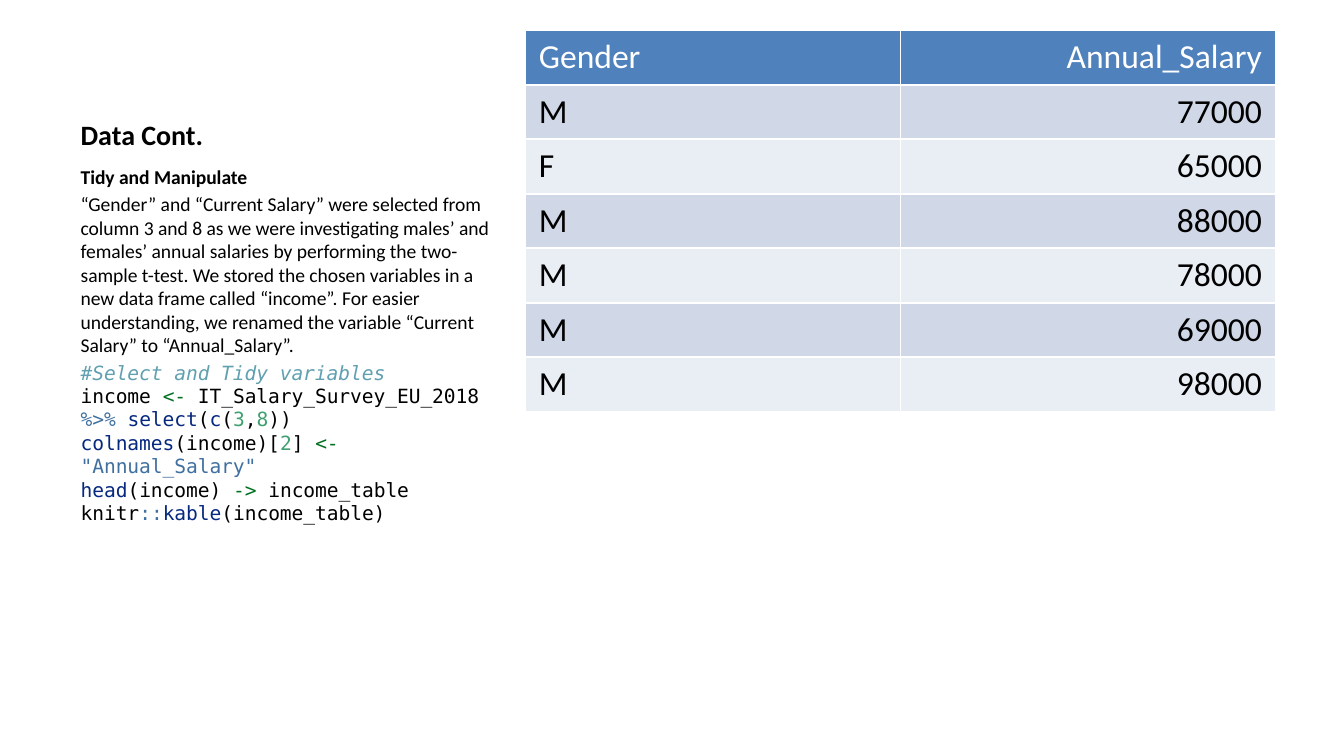
from pptx import Presentation
from pptx.dml.color import RGBColor
from pptx.enum.text import MSO_ANCHOR, MSO_AUTO_SIZE, PP_ALIGN
from pptx.util import Inches, Pt

BLACK = RGBColor(0x00, 0x00, 0x00)
WHITE = RGBColor(0xFF, 0xFF, 0xFF)
HEADER_BLUE = RGBColor(0x4F, 0x81, 0xBD)
BANDS = RGBColor(0xD0, 0xD8, 0xE8), RGBColor(0xE9, 0xED, 0xF4)
COMMENT = RGBColor(0x60, 0xA0, 0xB0)
ARROW = RGBColor(0x00, 0x70, 0x20)
STRING = RGBColor(0x40, 0x70, 0xA0)
CALL = RGBColor(0x06, 0x28, 0x7E)
NUMBER = RGBColor(0x40, 0xA0, 0x70)

TITLE = "Data Cont."
HEADING = "Tidy and Manipulate"
DESCRIPTION = (
    "“Gender” and “Current Salary” were selected from column 3 and 8 as we were "
    "investigating males’ and females’ annual salaries by performing the two-sample "
    "t-test. We stored the chosen variables in a new data frame called “income”. For "
    "easier understanding, we renamed the variable “Current Salary” to “Annual_Salary”."
)
CODE = [
    [("#Select and Tidy variables", COMMENT)],
    [("income ", BLACK), ("<-", ARROW), (" IT_Salary_Survey_EU_2018 ", BLACK),
     ("%>% ", STRING), ("select", CALL), ("(", BLACK), ("c", CALL), ("(", BLACK),
     ("3", NUMBER), (",", BLACK), ("8", NUMBER), ("))", BLACK)],
    [("colnames", CALL), ("(income)[", BLACK), ("2", NUMBER), ("] ", BLACK),
     ("<- ", ARROW), ('"Annual_Salary"', STRING)],
    [("head", CALL), ("(income) ", BLACK), ("->", ARROW), (" income_table", BLACK)],
    [("knitr", BLACK), ("::", STRING), ("kable", CALL), ("(income_table)", BLACK)],
]
SALARIES = [
    ("Gender", "Annual_Salary"),
    ("M", "77000"),
    ("F", "65000"),
    ("M", "88000"),
    ("M", "78000"),
    ("M", "69000"),
    ("M", "98000"),
]

SLIDE_WIDTH = Inches(10)
SLIDE_HEIGHT = SLIDE_WIDTH * 9 // 16
LEFT, TEXT_WIDTH = Inches(0.5), Inches(3.29)
TOP = SLIDE_HEIGHT // 25
TITLE_HEIGHT, BODY_HEIGHT = Inches(0.95), Inches(3.85)
TABLE_LEFT, TABLE_WIDTH, ROW_HEIGHT = Inches(3.91), Inches(5.58), Inches(0.4)


def place(shape, left, top, width, height):
    shape.left, shape.top, shape.width, shape.height = left, top, width, height
    shape.text_frame.auto_size = MSO_AUTO_SIZE.NONE


def style(para, size, name="Calibri", color=BLACK, bold=False):
    para.font.size, para.font.name, para.font.bold = Pt(size), name, bold
    para.font.color.rgb = color


def add_title(page):
    title = page.shapes.title
    place(title, LEFT, TOP, TEXT_WIDTH, TITLE_HEIGHT)
    title.text_frame.vertical_anchor = MSO_ANCHOR.BOTTOM
    title.text_frame.text = TITLE
    style(title.text_frame.paragraphs[0], 15, bold=True)


def add_body(body):
    place(body, LEFT, TOP + TITLE_HEIGHT, TEXT_WIDTH, BODY_HEIGHT)
    frame = body.text_frame
    frame.text = f"{HEADING}\n{DESCRIPTION}"
    heading, description = frame.paragraphs
    style(heading, 10.5, bold=True)
    style(description, 10.5)
    heading.space_before = Pt(30)
    code = frame.add_paragraph()
    style(code, 10.5, "DejaVu Sans Mono")
    for number, line in enumerate(CODE):
        if number:
            code.add_line_break()
        for text, color in line:
            span = code.add_run()
            span.text = text
            span.font.color.rgb = color
            span.font.italic = color == COMMENT


def add_salaries(page):
    rows, columns = len(SALARIES), len(SALARIES[0])
    table = page.shapes.add_table(
        rows, columns, TABLE_LEFT, TOP, TABLE_WIDTH, ROW_HEIGHT * rows
    ).table
    for row, record in enumerate(SALARIES):
        for column, text in enumerate(record):
            cell = table.cell(row, column)
            cell.text = text
            cell.fill.solid()
            cell.fill.fore_color.rgb = BANDS[(row - 1) % 2] if row else HEADER_BLUE
            para = cell.text_frame.paragraphs[0]
            para.alignment = PP_ALIGN.RIGHT if column else PP_ALIGN.LEFT
            style(para, 18, color=BLACK if row else WHITE)


def main():
    deck = Presentation()
    deck.slide_width, deck.slide_height = SLIDE_WIDTH, SLIDE_HEIGHT
    page = deck.slides.add_slide(deck.slide_layouts.get_by_name("Content with Caption"))
    content, body = list(page.placeholders)[1:]
    content.element.getparent().remove(content.element)
    add_title(page)
    add_body(body)
    add_salaries(page)
    deck.save("out.pptx")


if __name__ == "__main__":
    main()
